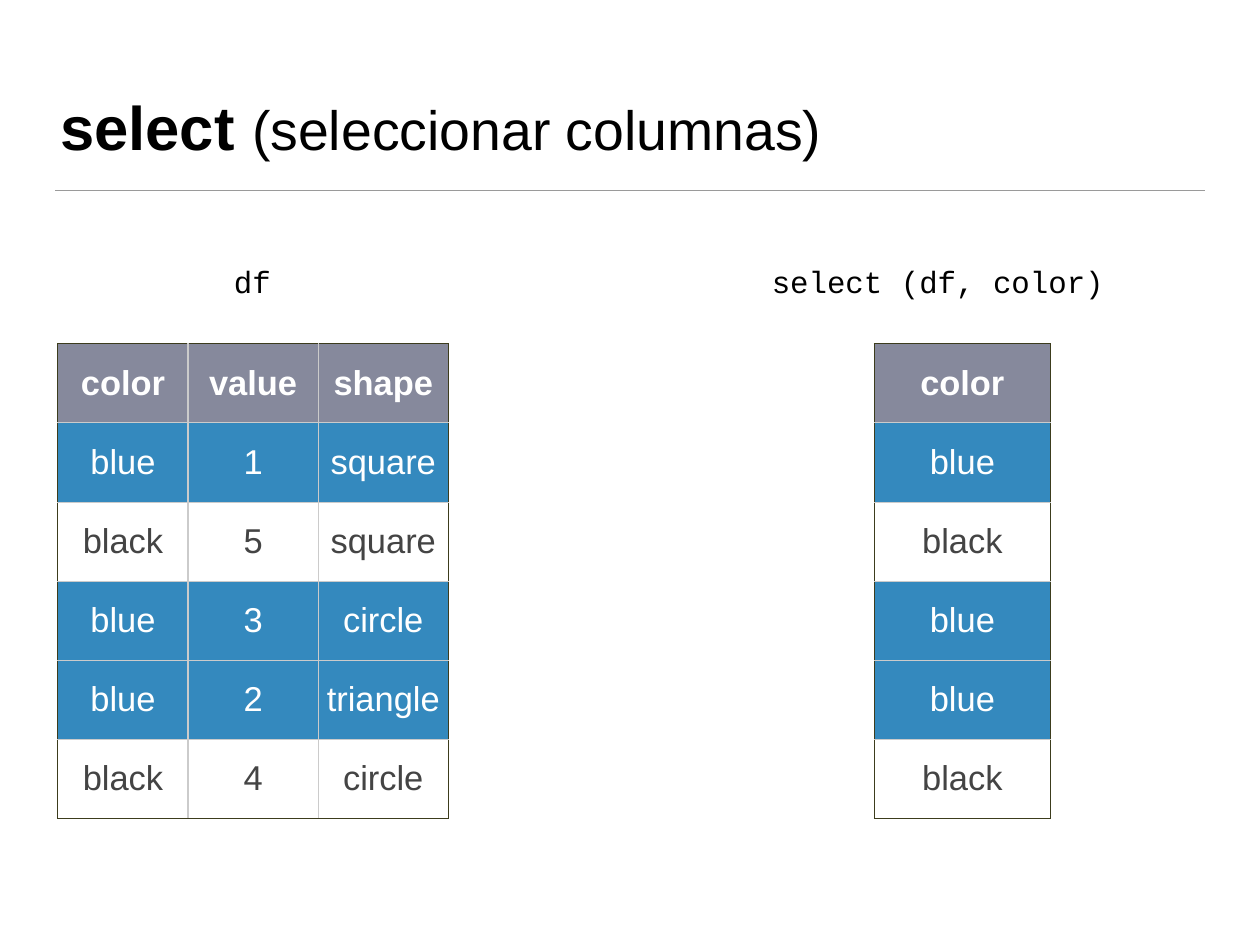
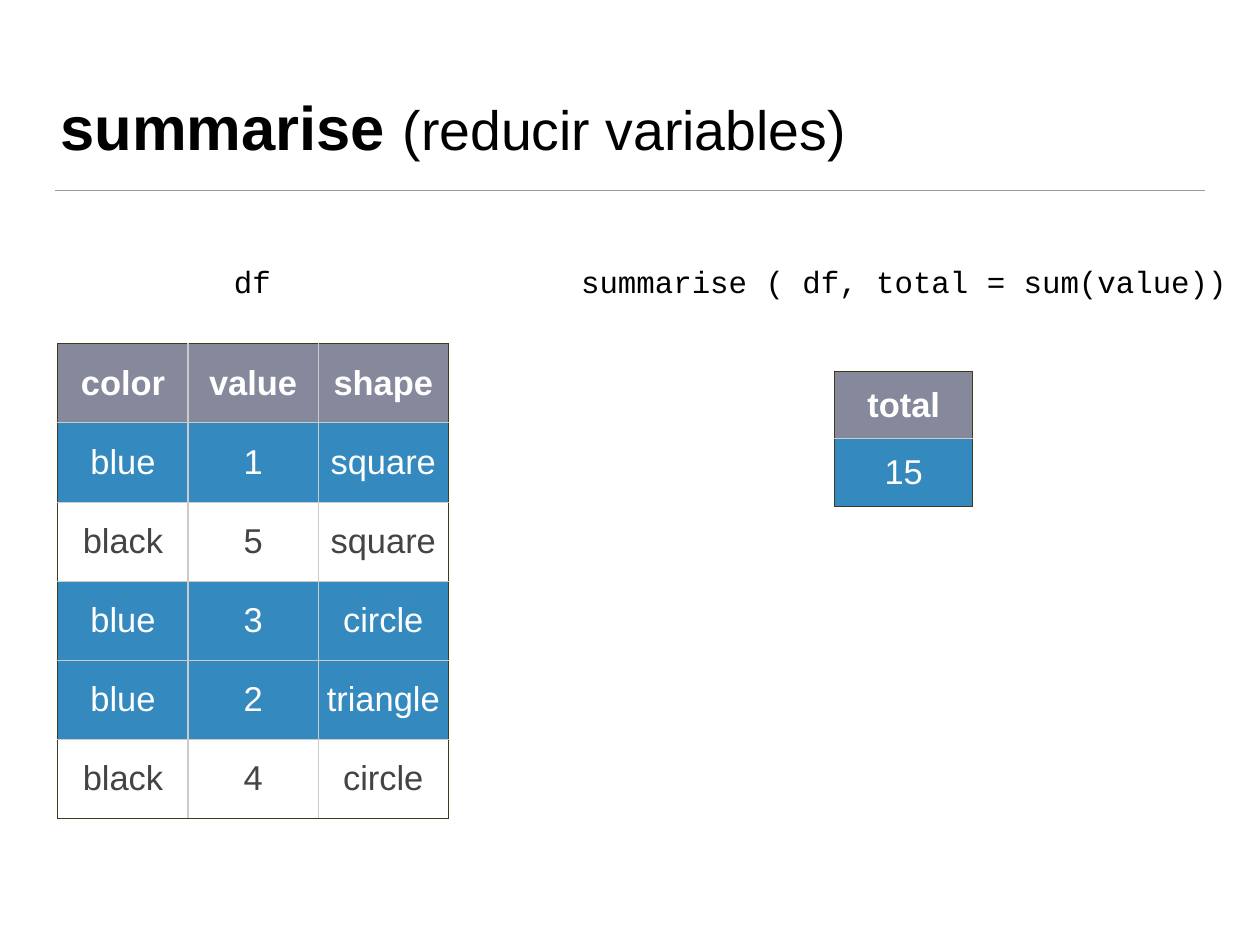
from dataclasses import dataclass

import lxml.etree
import pptx
import pptx.dml.color
import pptx.enum.shapes
import pptx.enum.text
import pptx.oxml.ns
import pptx.slide
import pptx.table
import pptx.text.text
import pptx.util

Pt = pptx.util.Pt
qn = pptx.oxml.ns.qn
ALIGN = pptx.enum.text.PP_ALIGN
ANCHOR = pptx.enum.text.MSO_ANCHOR

COLORS = {
    "text": "000000",
    "rule": "9A9A9A",
    "header": "86899C",
    "blue": "3489BE",
    "white": "FFFFFF",
    "dark": "444444",
    "outer": "3C3C1D",
    "inner": "CBCBCB",
}
INSET = 4
MARGIN = 45
CONTENT_WIDTH = 934
LABEL_TOP, LABEL_HEIGHT = 209, 39
CODE_SIZE = 25
CODE_ADVANCE = 0.6 * CODE_SIZE

TITLE_NAME = {"name": "Arial", "size": Pt(50), "bold": True}
TITLE_NOTE = {"name": "Arial", "size": Pt(45), "bold": False}
CODE = {"name": "Courier New", "size": Pt(CODE_SIZE)}
CELL = {"name": "Arial", "size": Pt(28)}
INSETS = {f"margin_{side}": Pt(INSET) for side in ("left", "top", "right", "bottom")}


@dataclass(frozen=True)
class DataTable:
    left: float
    top: float
    col_width: float
    row_height: float
    rows: tuple[tuple[str, ...], ...]


@dataclass(frozen=True)
class Label:
    center: float
    text: str


@dataclass(frozen=True)
class Example:
    verb: str
    note: str
    call: Label
    result: DataTable


DF_LABEL = Label(205, "df")
DF = DataTable(47, 279.4, 105.8, 64.3, (
    ("color", "value", "shape"),
    ("blue", "1", "square"),
    ("black", "5", "square"),
    ("blue", "3", "circle"),
    ("blue", "2", "triangle"),
    ("black", "4", "circle"),
))
EXAMPLES = (
    Example("select", "(seleccionar columnas)", Label(762, "select (df, color)"),
            DataTable(710.6, DF.top, 143, DF.row_height,
                      tuple(row[:1] for row in DF.rows))),
    Example("summarise", "(reducir variables)",
            Label(734.4, "summarise ( df, total = sum(value))"),
            DataTable(678.2, 301.7, 112.5, 55, (("total",), ("15",)))),
)


def rgb(color: str) -> pptx.dml.color.RGBColor:
    return pptx.dml.color.RGBColor.from_string(COLORS[color])


def apply(target: object, values: dict) -> None:
    for name, value in values.items():
        setattr(target, name, value)


def add_run(p: pptx.text.text._Paragraph, text: str, font: dict, color: str) -> None:
    r = p.add_run()
    r.text = text
    apply(r.font, font)
    r.font.color.rgb = rgb(color)


def add_title(s: pptx.slide.Slide, verb: str, note: str) -> None:
    """Draw the title and the rule below it."""
    tf = s.shapes.add_textbox(Pt(MARGIN), Pt(26), Pt(CONTENT_WIDTH), Pt(110)).text_frame
    apply(tf, INSETS | {"word_wrap": True, "vertical_anchor": ANCHOR.BOTTOM})
    p = tf.paragraphs[0]
    add_run(p, f"{verb} ", TITLE_NAME, "text")
    add_run(p, note, TITLE_NOTE, "text")

    rule = s.shapes.add_connector(pptx.enum.shapes.MSO_CONNECTOR.STRAIGHT, Pt(MARGIN),
                                  Pt(155), Pt(MARGIN + CONTENT_WIDTH), Pt(155))
    rule.line.width = Pt(1)
    rule.line.color.rgb = rgb("rule")
    lxml.etree.SubElement(rule._element.spPr, qn("a:effectLst"))


def add_label(s: pptx.slide.Slide, label: Label) -> None:
    """Centre a line of code on the label's x, in a box that fits it."""
    width = len(label.text) * CODE_ADVANCE + 2 * INSET
    tf = s.shapes.add_textbox(Pt(label.center - width / 2), Pt(LABEL_TOP),
                              Pt(width), Pt(LABEL_HEIGHT)).text_frame
    apply(tf, INSETS | {"word_wrap": False, "vertical_anchor": ANCHOR.MIDDLE,
                        "auto_size": pptx.enum.text.MSO_AUTO_SIZE.SHAPE_TO_FIT_TEXT})
    p = tf.paragraphs[0]
    p.alignment = ALIGN.CENTER
    add_run(p, label.text, CODE, "text")


def set_borders(cell: pptx.table._Cell, outer: dict[str, bool]) -> None:
    """Line each side, dark where it lies on the table's edge."""
    tc_pr = cell._tc.get_or_add_tcPr()
    for side, is_outer in outer.items():
        ln = lxml.etree.SubElement(tc_pr, qn(f"a:ln{side}"), w=str(Pt(1)))
        fill = lxml.etree.SubElement(ln, qn("a:solidFill"))
        lxml.etree.SubElement(fill, qn("a:srgbClr"),
                              val=COLORS["outer" if is_outer else "inner"])


def add_data_table(s: pptx.slide.Slide, data: DataTable) -> None:
    n_rows, n_cols = len(data.rows), len(data.rows[0])
    table = s.shapes.add_table(n_rows, n_cols, Pt(data.left), Pt(data.top),
                               Pt(n_cols * data.col_width),
                               Pt(n_rows * data.row_height)).table
    apply(table, {"first_row": False, "horz_banding": False})
    for col in table.columns:
        col.width = Pt(data.col_width)
    for i, values in enumerate(data.rows):
        table.rows[i].height = Pt(data.row_height)
        is_header, is_black = i == 0, values[0] == "black"
        for j, text in enumerate(values):
            cell = table.cell(i, j)
            apply(cell, INSETS | {"vertical_anchor": ANCHOR.MIDDLE})
            set_borders(cell, {"L": j == 0, "R": j == n_cols - 1,
                               "T": is_header, "B": i == n_rows - 1})
            if is_black:
                cell.fill.background()
            else:
                cell.fill.solid()
                cell.fill.fore_color.rgb = rgb("header" if is_header else "blue")
            p = cell.text_frame.paragraphs[0]
            p.alignment = ALIGN.CENTER
            add_run(p, text, CELL | {"bold": is_header}, "dark" if is_black else "white")


def add_example(prs: pptx.presentation.Presentation, example: Example) -> None:
    s = prs.slides.add_slide(prs.slide_layouts[6])
    add_title(s, example.verb, example.note)
    for label in (DF_LABEL, example.call):
        add_label(s, label)
    for data in (DF, example.result):
        add_data_table(s, data)


def main() -> None:
    prs = pptx.Presentation()
    apply(prs, {"slide_width": Pt(1024), "slide_height": Pt(768)})
    for example in EXAMPLES:
        add_example(prs, example)
    prs.save("out.pptx")


if __name__ == "__main__":
    main()
